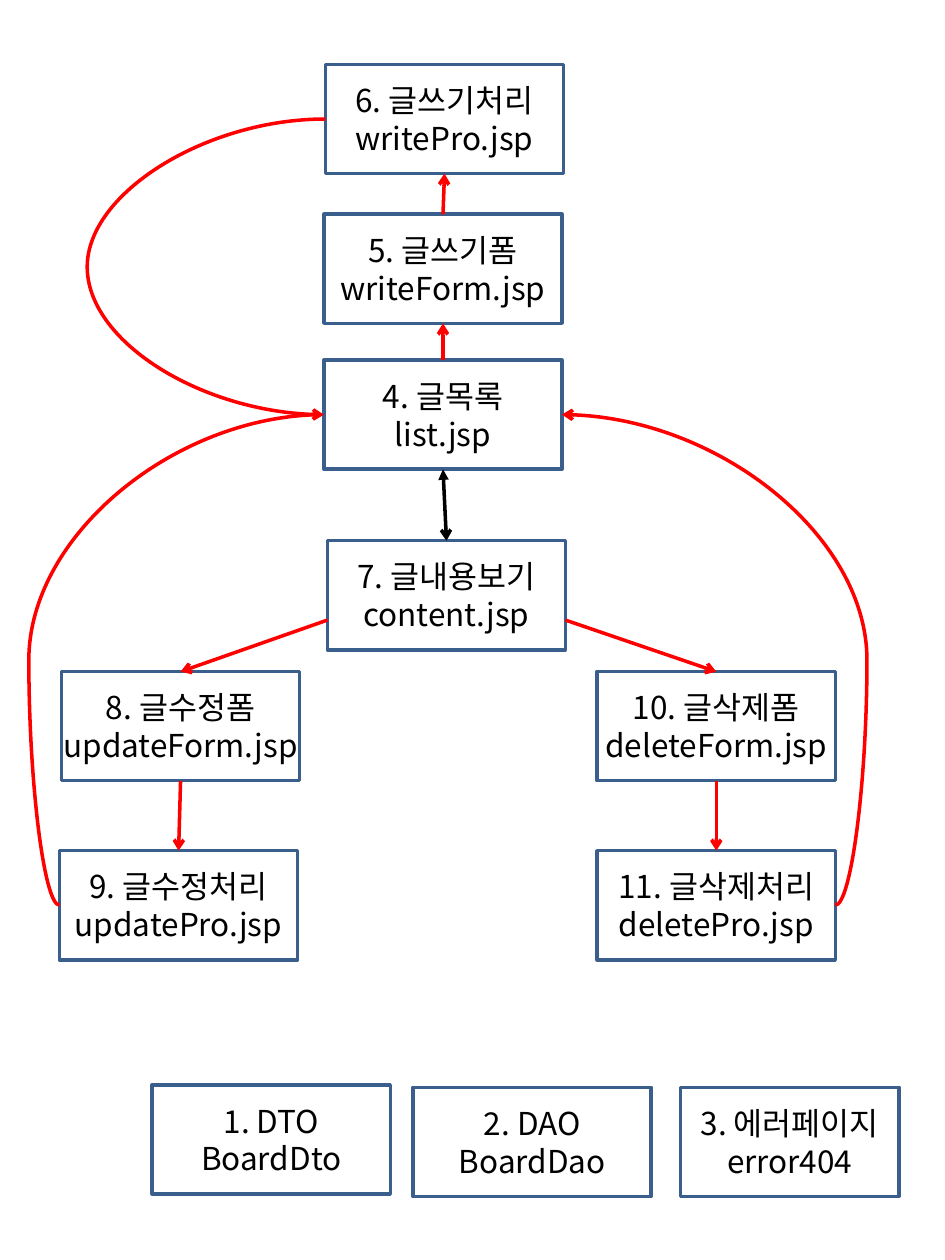
from pptx import Presentation
from pptx.dml.color import RGBColor
from pptx.enum.shapes import MSO_CONNECTOR as Connector, MSO_SHAPE as Shape
from pptx.enum.text import MSO_ANCHOR as Anchor, PP_ALIGN as Align
from pptx.oxml.ns import qn
from pptx.util import Cm, Pt
from lxml.etree import SubElement

TOP, LEFT, BOTTOM, RIGHT = range(4)
BOX_WIDTH, BOX_HEIGHT = 4.8, 2.2


def color(value):
    return RGBColor.from_string(value)


class Diagram:
    font_name = "Noto Sans CJK KR"
    font_size = Pt(18)
    line_width = Pt(2)
    border, ink, flow = "3A5F8C", "000000", "FF0000"
    frame_format = {
        "margin_left": 0, "margin_top": 0, "margin_right": 0,
        "margin_bottom": 0, "vertical_anchor": Anchor.MIDDLE, "word_wrap": False,
    }

    def __init__(self, slide):
        self.slide = slide

    def box(self, left, top, title, page, width=BOX_WIDTH):
        shape = self.slide.shapes.add_shape(
            Shape.RECTANGLE, Cm(left), Cm(top), Cm(width), Cm(BOX_HEIGHT))
        shape.shadow.inherit = False
        shape.fill.background()
        self.stroke(shape.line, self.border)
        for name, value in self.frame_format.items():
            setattr(shape.text_frame, name, value)
        shape.text_frame.text = f"{title}\n{page}"
        for paragraph in shape.text_frame.paragraphs:
            paragraph.alignment = Align.CENTER
            for run in paragraph.runs:
                self.style_run(run)
        return shape

    def style_run(self, run):
        for name, value in {"name": self.font_name, "size": self.font_size}.items():
            setattr(run.font, name, value)
        run.font.color.rgb = color(self.ink)
        east_asian = SubElement(run.font._element, qn("a:ea"))
        east_asian.set("typeface", self.font_name)

    def stroke(self, line, value):
        line.width = self.line_width
        line.color.rgb = color(value)

    def connector(self, kind, start, end, value, head=None, tail="arrow"):
        points = [Cm(number) for number in (*start, *end)]
        connector = self.slide.shapes.add_connector(kind, *points)
        self.stroke(connector.line, value)
        line = connector.line._get_or_add_ln()
        for tag, arrow in {"a:headEnd": head, "a:tailEnd": tail}.items():
            if arrow:
                SubElement(line, qn(tag)).set("type", arrow)
        SubElement(connector._element.spPr, qn("a:effectLst"))
        return connector

    def join(self, source, source_side, target, target_side, value=flow, head=None):
        connector = self.connector(Connector.STRAIGHT, (0, 0), (1, 1), value, head)
        connector.begin_connect(source, source_side)
        connector.end_connect(target, target_side)

    def branch(self, start, target):
        connector = self.connector(Connector.STRAIGHT, start, (1, 1), self.flow)
        connector.end_connect(target, TOP)

    def curve(self, start, end, bulge, tail="arrow"):
        connector = self.connector(Connector.CURVE, start, end, self.flow, tail=tail)
        ratio = (bulge - start[0]) / (end[0] - start[0])
        geometry = connector._element.spPr.find(qn("a:prstGeom"))
        values = geometry.find(qn("a:avLst"))
        if values is None:
            values = SubElement(geometry, qn("a:avLst"))
        guide = SubElement(values, qn("a:gd"))
        guide.set("name", "adj1")
        guide.set("fmla", f"val {round(ratio * 100000)}")


def main():
    presentation = Presentation()
    presentation.slide_width, presentation.slide_height = Cm(19.05), Cm(25.4)
    slide = presentation.slides.add_slide(presentation.slide_layouts[6])
    diagram = Diagram(slide)

    board_list = diagram.box(6.53, 7.26, "4. 글목록", "list.jsp")
    delete_form = diagram.box(12.04, 13.54, "10. 글삭제폼", "deleteForm.jsp")
    update_form = diagram.box(1.24, 13.54, "8. 글수정폼", "updateForm.jsp")
    update_pro = diagram.box(1.2, 17.15, "9. 글수정처리", "updatePro.jsp")
    delete_pro = diagram.box(12.04, 17.15, "11. 글삭제처리", "deletePro.jsp")
    write_pro = diagram.box(6.56, 1.3, "6. 글쓰기처리", "writePro.jsp")
    write_form = diagram.box(6.53, 4.32, "5. 글쓰기폼", "writeForm.jsp")
    content = diagram.box(6.6, 10.9, "7. 글내용보기", "content.jsp")
    diagram.box(8.33, 21.92, "2. DAO", "BoardDao")
    diagram.box(3.07, 21.87, "1. DTO", "BoardDto")
    diagram.box(13.72, 21.92, "3. 에러페이지", "error404", width=4.4)

    diagram.join(board_list, TOP, write_form, BOTTOM)
    diagram.join(write_form, TOP, write_pro, BOTTOM)
    diagram.join(update_form, BOTTOM, update_pro, TOP)
    diagram.join(delete_form, BOTTOM, delete_pro, TOP)
    diagram.join(board_list, BOTTOM, content, TOP, diagram.ink, head="triangle")
    diagram.branch((6.6, 12.5), update_form)
    diagram.branch((6.6 + BOX_WIDTH, 12.5), delete_form)

    list_middle = 7.26 + BOX_HEIGHT / 2
    pro_middle = 17.15 + BOX_HEIGHT / 2
    list_left = (6.53, list_middle)
    list_right = (6.53 + BOX_WIDTH, list_middle)
    diagram.curve((1.2, pro_middle), list_left, 0.58, tail="triangle")
    diagram.curve((6.56, 1.3 + BOX_HEIGHT / 2), list_left, 1.76)
    diagram.curve((12.04 + BOX_WIDTH, pro_middle), list_right, 17.48)

    presentation.save("out.pptx")


if __name__ == "__main__":
    main()
